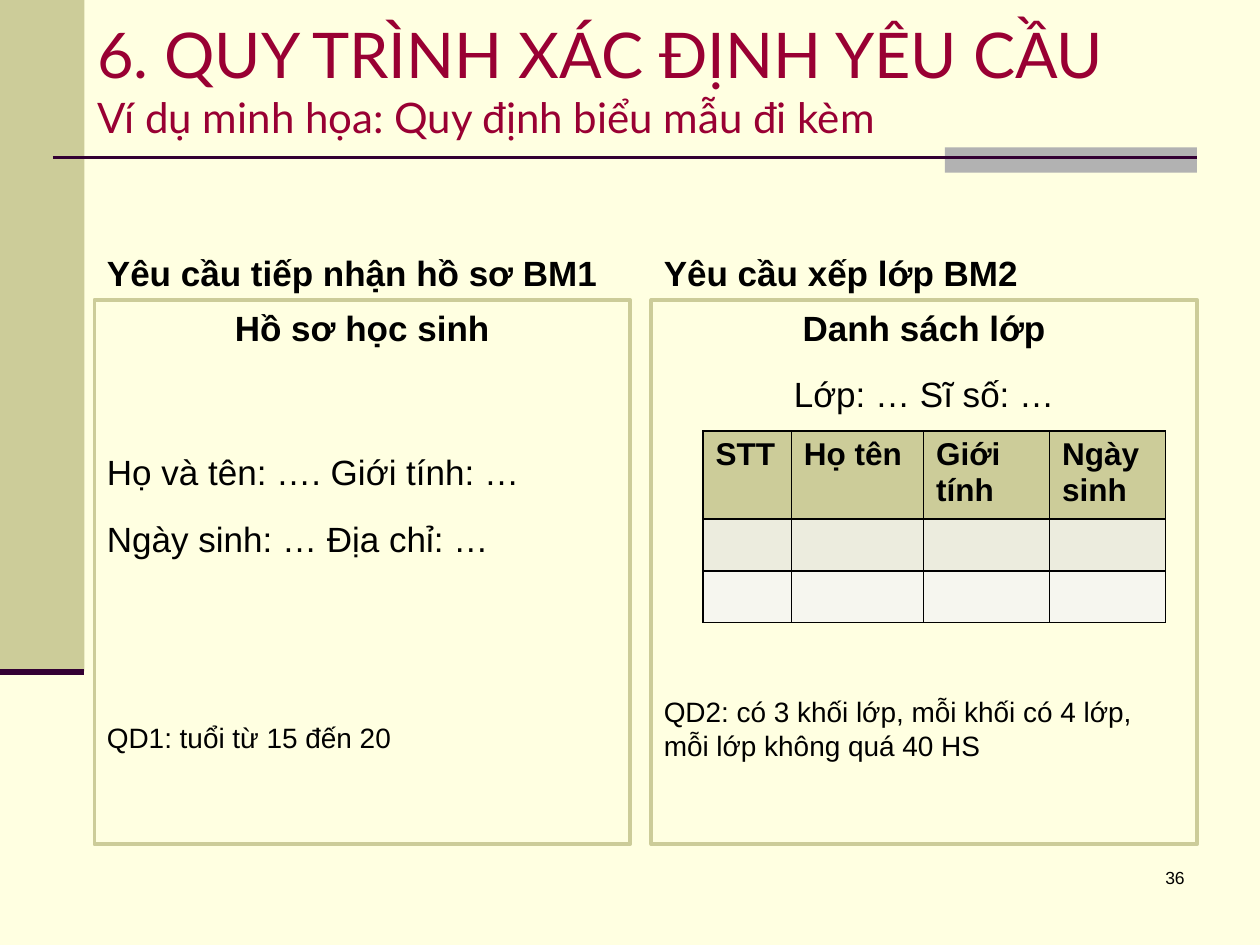
from lxml import etree
from pptx import Presentation
from pptx.dml.color import RGBColor
from pptx.enum.shapes import MSO_CONNECTOR, MSO_SHAPE
from pptx.enum.text import MSO_ANCHOR, PP_ALIGN
from pptx.oxml.ns import qn
from pptx.util import Inches, Pt

LINE, RECT = MSO_CONNECTOR.STRAIGHT, MSO_SHAPE.RECTANGLE
TOP, MIDDLE, BOTTOM = MSO_ANCHOR.TOP, MSO_ANCHOR.MIDDLE, MSO_ANCHOR.BOTTOM
LEFT, CENTER, RIGHT = PP_ALIGN.LEFT, PP_ALIGN.CENTER, PP_ALIGN.RIGHT

COLORS = {
    "background": "FFFFE1", "sand": "CCCC99", "gray": "B2B2B2",
    "plum": "330033", "title": "990033", "text": "000000",
    "row_odd": "ECECDE", "row_even": "F6F6EF",
}
GAP_BEFORE, GAP_AFTER = 11, 3


def rgb(key):
    """Return the named palette colour."""
    return RGBColor.from_string(COLORS[key])


def add_run(paragraph, text, size, bold=False, font="Arial", color="text"):
    """Append one formatted run to a paragraph."""
    run = paragraph.add_run()
    run.text = text
    run.font.name, run.font.size, run.font.bold = font, Pt(size), bold
    run.font.color.rgb = rgb(color)


def add_block(slide, box, color):
    """Place a plain filled rectangle."""
    block = slide.shapes.add_shape(RECT, *map(Inches, box))
    block.shadow.inherit = False
    block.fill.solid()
    block.fill.fore_color.rgb = rgb(color)
    block.line.fill.background()


def add_rule(slide, left, right, y, width):
    """Draw a horizontal plum rule without shadow."""
    rule = slide.shapes.add_connector(
        LINE, Inches(left), Inches(y), Inches(right), Inches(y))
    rule.line.color.rgb = rgb("plum")
    rule.line.width = Pt(width)
    etree.SubElement(rule._element.spPr, qn("a:effectLst"))


def add_text(slide, box, lines, anchor=TOP):
    """Place a text box; each line is text, size, bold, alignment, space before."""
    text_box = slide.shapes.add_textbox(*map(Inches, box))
    frame = text_box.text_frame
    frame.word_wrap = True
    frame.vertical_anchor = anchor
    for index, (text, size, bold, align, before) in enumerate(lines):
        paragraph = frame.add_paragraph() if index else frame.paragraphs[0]
        paragraph.alignment = align
        paragraph.space_before = Pt(before)
        paragraph.space_after = Pt(GAP_AFTER)
        add_run(paragraph, text, size, bold)
    return text_box


def add_backdrop(slide):
    """Draw the background, side band and header rule."""
    slide.background.fill.solid()
    slide.background.fill.fore_color.rgb = rgb("background")
    add_block(slide, (0, 0, 0.67, 5.33), "sand")
    add_block(slide, (7.5, 1.17, 2, 0.2), "gray")
    add_rule(slide, 0.42, 9.5, 1.25, 1.5)
    add_rule(slide, 0, 0.67, 5.33, 3.5)


def add_title(slide, box, heading, subheading):
    """Move the title placeholder and fill its two lines."""
    title = slide.shapes.title
    title.left, title.top, title.width, title.height = map(Inches, box)
    frame = title.text_frame
    frame.word_wrap = True
    frame.vertical_anchor = MIDDLE
    paragraph = frame.paragraphs[0]
    paragraph.alignment = LEFT
    add_run(paragraph, heading, 36, font="Lato", color="title")
    paragraph.add_line_break()
    add_run(paragraph, subheading, 24, font="Lato", color="title")


def add_form(slide, box, heading, lines):
    """Place a form heading above its outlined content panel."""
    left, top, width, height = box
    heading_height = 0.88
    add_text(slide, (left, top, width, heading_height),
             [(heading, 20, True, LEFT, 0)], BOTTOM)
    panel = add_text(slide, (left, top + heading_height, width,
                             height - heading_height), lines)
    panel.line.color.rgb = rgb("sand")
    panel.line.width = Pt(2.25)


def add_borders(cell):
    """Give a cell thin black borders on all sides."""
    properties = cell._tc.get_or_add_tcPr()
    for index, side in enumerate(("a:lnL", "a:lnR", "a:lnT", "a:lnB")):
        border = etree.Element(qn(side), w=str(Pt(1)))
        fill = etree.SubElement(border, qn("a:solidFill"))
        etree.SubElement(fill, qn("a:srgbClr"), val=COLORS["text"])
        properties.insert(index, border)


def add_class_table(slide, box, headers, widths):
    """Place the class list table with two blank rows."""
    row_colors = ("sand", "row_odd", "row_even")
    row_heights = (0.66, 0.41, 0.41)
    table = slide.shapes.add_table(
        len(row_colors), len(headers), *map(Inches, box)).table
    for column, width in zip(table.columns, widths):
        column.width = Inches(width)
    for row, height, color in zip(table.rows, row_heights, row_colors):
        row.height = Inches(height)
        for cell in row.cells:
            cell.fill.solid()
            cell.fill.fore_color.rgb = rgb(color)
            cell.text_frame.paragraphs[0].font.size = Pt(18)
            add_borders(cell)
    for cell, header in zip(table.rows[0].cells, headers):
        add_run(cell.text_frame.paragraphs[0], header, 18, True)


def main():
    """Build and save the slide."""
    deck = Presentation()
    deck.slide_width, deck.slide_height = Inches(10), Inches(7.5)
    slide = deck.slides.add_slide(deck.slide_layouts.get_by_name("Title Only"))
    add_backdrop(slide)
    add_title(slide, (0.67, 0, 8.83, 1.25), "6. QUY TRÌNH XÁC ĐỊNH YÊU CẦU",
              "Ví dụ minh họa: Quy định biểu mẫu đi kèm")
    add_form(slide, (0.75, 1.5, 4.25, 5.2), "Yêu cầu tiếp nhận hồ sơ BM1", [
        ("Hồ sơ học sinh", 20, True, CENTER, 0),
        ("Họ và tên: …. Giới tính: …", 20, False, LEFT, 55.5),
        ("Ngày sinh: … Địa chỉ: …", 20, False, LEFT, GAP_BEFORE),
        ("QD1: tuổi từ 15 đến 20", 16, False, LEFT, 89),
    ])
    add_form(slide, (5.17, 1.5, 4.33, 5.2), "Yêu cầu xếp lớp BM2", [
        ("Danh sách lớp", 20, True, CENTER, 0),
        ("Lớp: … Sĩ số: …", 20, False, CENTER, GAP_BEFORE),
        ("QD2: có 3 khối lớp, mỗi khối có 4 lớp, mỗi lớp không quá 40 HS",
         16, False, LEFT, 157),
    ])
    add_text(slide, (7.42, 6.83, 2.08, 0.5), [("36", 10, False, RIGHT, 0)])
    add_class_table(slide, (5.58, 3.42, 3.67, 1.48),
                    ("STT", "Họ tên", "Giới tính", "Ngày sinh"),
                    (0.7, 1.05, 1, 0.92))
    deck.save("out.pptx")


if __name__ == "__main__":
    main()
